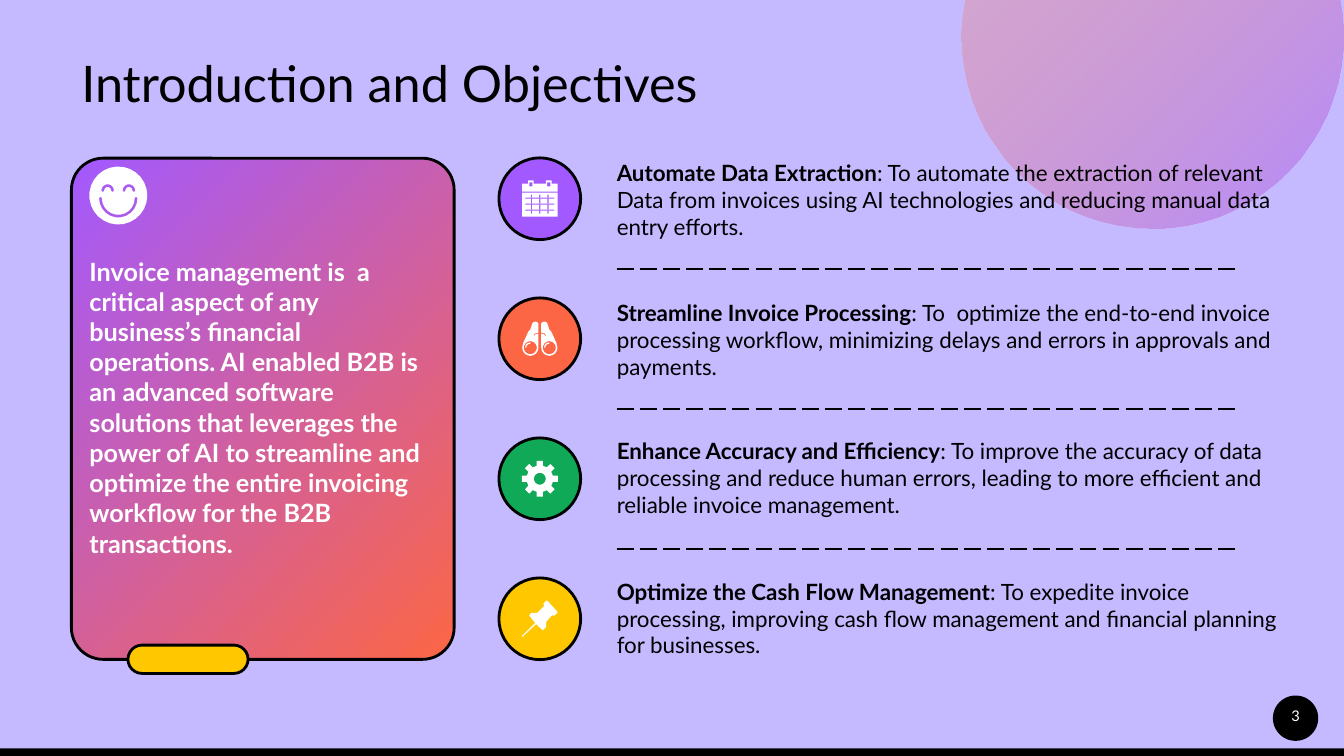
import math

import pptx
import pptx.dml.color
import pptx.enum.dml
import pptx.enum.shapes
import pptx.enum.text
import pptx.oxml
import pptx.oxml.ns
import pptx.util

Pt = pptx.util.Pt
RGB = pptx.dml.color.RGBColor.from_string
PRESET = pptx.enum.shapes.MSO_SHAPE
ALIGN = pptx.enum.text.PP_ALIGN
ANCHOR = pptx.enum.text.MSO_ANCHOR
FIT = pptx.enum.text.MSO_AUTO_SIZE

THEME = {
    "font": "Lato",
    "background": RGB("C5BAFF"),
    "ink": RGB("000000"),
    "white": RGB("FFFFFF"),
    "purple": RGB("A259FF"),
    "orange": RGB("FC6645"),
    "green": RGB("10A957"),
    "yellow": RGB("FFC700"),
    "title": 36,
    "statement": 18,
    "objective": 16,
    "page": 10.5,
}

deck = pptx.Presentation()
deck.slide_width, deck.slide_height = Pt(960), Pt(540)
slide = deck.slides.add_slide(deck.slide_layouts[6])
slide.background.fill.solid()
slide.background.fill.fore_color.rgb = THEME["background"]


def arc(x, y, radius, start=0, end=360):
    """Points on an arc, clockwise from the right, as few as look round."""
    widest = 2 * math.degrees(math.acos(1 - 0.14 / radius))
    steps = math.ceil(abs(end - start) / widest)
    angles = [math.radians(start + (end - start) * i / steps) for i in range(steps + 1)]
    return [(x + radius * math.cos(a), y + radius * math.sin(a)) for a in angles]


def draw_outline(center_x, center_y, contours):
    """White outline; contours are in points from the center, inner ones are holes."""
    scaled = [[(x * 100, y * 100) for x, y in contour] for contour in contours]
    builder = slide.shapes.build_freeform(*scaled[0][0], scale=Pt(1) / 100)
    for number, contour in enumerate(scaled):
        if number:
            builder.move_to(*contour[0])
        builder.add_line_segments(contour[1:], close=True)
    outline = builder.convert_to_shape(Pt(center_x), Pt(center_y))
    outline.shadow.inherit = False
    outline.fill.solid()
    outline.fill.fore_color.rgb = THEME["white"]
    outline.line.fill.background()
    return outline


# Corner disc, cut off by the top of the slide
disc_y, disc_radius = 26.6, 136.6
cut = math.degrees(math.asin(disc_y / disc_radius))
corner_disc = draw_outline(823.4, disc_y, [arc(0, 0, disc_radius, -cut, 180 + cut)])

# Footer, card, pill and objective badges
CENTER_X, FIRST_Y, STEP = 385.6, 142, 100
badge_colors = ["purple", "orange", "green", "yellow"]
presets = [
    (PRESET.RECTANGLE, 0, 534.6, 960, 5.4, "ink", 0, None),
    (PRESET.OVAL, 909.2, 496.8, 32.4, 32.4, "ink", 0, None),
    (PRESET.ROUNDED_RECTANGLE, 51, 113, 273.4, 358, "orange", 2, 0.083),
    (PRESET.ROUNDED_RECTANGLE, 91.4, 460.8, 85.8, 20.2, "yellow", 2, 0.5),
] + [
    (PRESET.OVAL, CENTER_X - 29.2, FIRST_Y - 29.2 + STEP * row, 58.4, 58.4, color, 2, None)
    for row, color in enumerate(badge_colors)
]
drawn = []
for kind, x, y, w, h, color, border, rounding in presets:
    part = slide.shapes.add_shape(kind, Pt(x), Pt(y), Pt(w), Pt(h))
    part.shadow.inherit = False
    part.fill.solid()
    part.fill.fore_color.rgb = THEME[color]
    if border:
        part.line.color.rgb = THEME["ink"]
        part.line.width = Pt(border)
    else:
        part.line.fill.background()
    if rounding:
        part.adjustments[0] = rounding
    drawn.append(part)
card = drawn[2]

# Orange to purple gradients; the corner disc is see-through
for part, angle, opacities in ((corner_disc, 315, (25, 50)), (card, 135, (100, 100))):
    part.fill.gradient()
    part.fill.gradient_angle = angle
    stops = part.fill.gradient_stops
    for stop, color, position in zip(stops, ("orange", "purple"), (0, 1)):
        stop.color.rgb = THEME[color]
        stop.position = position
    gradient = part.element.spPr.find(pptx.oxml.ns.qn("a:gradFill"))
    for tint, opacity in zip(gradient.iter(pptx.oxml.ns.qn("a:srgbClr")), opacities):
        if opacity < 100:
            alpha = pptx.oxml.parse_xml(f'<a:alpha {pptx.oxml.ns.nsdecls("a")} val="{opacity * 1000}"/>')
            tint.append(alpha)

# Smiley: two eyes and a mouth, each a half ring with round ends
face = [arc(0, 0, 20.7)]
for x, y, outer, inner, start in ((-7.6, -3.6, 4.5, 2.5, 180), (7.6, -3.6, 4.5, 2.5, 180), (0, 2, 13.7, 11.7, 0)):
    end, cap = start + 180, (outer - inner) / 2
    reach = (outer + inner) / 2 * (1 if start else -1)
    face.append(arc(x, y, outer, start, end) + arc(x + reach, y, cap, end, end + 180)
                + arc(x, y, inner, end, start) + arc(x - reach, y, cap, end, end + 180))
draw_outline(84.5, 139.7, face)

# Calendar: page with a grid cut out, and a header with two rings
boxes = [(-12.7, -4.4, 12.7, 12.8)]
grid_rows = [-0.5, 3.8, 8.1]
boxes += [(-10.4, y - 0.4, 10.4, y + 0.4) for y in grid_rows]
tops = [-3] + [y + 0.4 for y in grid_rows]
bottoms = [y - 0.4 for y in grid_rows] + [10.6]
boxes += [(x - 0.45, top, x + 0.45, bottom) for x in (-5.9, 0, 5.9) for top, bottom in zip(tops, bottoms)]
boxes += [(x - 1.1, -11.7, x + 1.1, -8.8) for x in (-6.4, 6.4)]
header = [(-12.7, -5.2), (-12.7, -10.9), (-8.4, -10.9), (-8.4, -13.1), (-4.4, -13.1), (-4.4, -10.9)]
header += [(-x, y) for x, y in reversed(header)]
cutouts = [[(l, t), (r, t), (r, b), (l, b)] for l, t, r, b in boxes]
draw_outline(CENTER_X, FIRST_Y, cutouts[:-2])
draw_outline(CENTER_X, FIRST_Y, [header] + cutouts[-2:])

# Binoculars: mirrored barrels, each with a lens and a glint
barrel = [(1, -4.4), (1, -11), (2, -11.9), (3.2, -12.3), (4.6, -11.9), (5.4, -10.9), (6.8, -6.6),
          (8.2, -5.1), (11.8, 2.8)]
barrel += arc(6.8, 6.4, 5.8, 0, 180)
barrel += [(1, -3.7), (3, -3.2), (3.9, -2.2), (4.6, -2.2), (3.8, -3.6)]
for side in (-1, 1):
    lens_x, lens_y = 6.8 * side, 6.4
    draw_outline(CENTER_X, FIRST_Y + STEP, [[(x * side, y) for x, y in barrel], arc(lens_x, lens_y, 4.7)])
    draw_outline(CENTER_X, FIRST_Y + STEP,
                 [arc(lens_x, lens_y, 3.8, 180, 270) + arc(lens_x, lens_y, 2.9, 270, 180)])

# Gear with eight teeth
teeth = []
for turn in range(8):
    cos, sin = math.cos(turn * math.pi / 4), math.sin(turn * math.pi / 4)
    for x, y in ((-2.2, -9.3), (-2.2, -12.8), (2.2, -12.8), (2.2, -9.3)):
        teeth.append((x * cos - y * sin, x * sin + y * cos))
draw_outline(CENTER_X, FIRST_Y + 2 * STEP, [teeth, arc(0, 0, 4.3)])

# Push pin
pin = [(-12.6, 13), (-2.6, 3.8), (1.8, 8), (2.5, 8), (4.6, 5.8), (4.6, 2.2), (9, -2.8), (10, -2),
       (12.6, -4.2), (12.6, -5), (5.4, -12.9), (4.6, -12.9), (2.5, -10.7), (3.2, -9.3), (-1.8, -4.2),
       (-6.2, -4.2), (-7.6, -2.3), (-3.3, 3), (-12.8, 12.3)]
draw_outline(CENTER_X, FIRST_Y + 3 * STEP, [pin])

# Dashed dividers between objectives
for row in range(3):
    y = Pt(192 + STEP * row)
    divider = slide.shapes.add_connector(pptx.enum.shapes.MSO_CONNECTOR.STRAIGHT, Pt(440.6), y, Pt(884.9), y)
    divider.line.color.rgb = THEME["ink"]
    divider.line.width = Pt(1.5)
    divider.line.dash_style = pptx.enum.dml.MSO_LINE.LONG_DASH
    divider.element.spPr.append(pptx.oxml.parse_xml(f'<a:effectLst {pptx.oxml.ns.nsdecls("a")}/>'))

# Texts: place, style, color, left inset, paragraphs of (text, bold) runs
statement = ("Invoice management is  a critical aspect of any business’s financial operations. AI enabled B2B "
             "is an advanced software solutions that leverages the power of AI to streamline and optimize the "
             "entire invoicing workflow for the B2B transactions.")
objectives = [
    (110.2, "Automate Data Extraction", [": To automate the extraction of relevant",
     "Data from invoices using AI technologies and reducing manual data entry efforts."]),
    (210.2, "Streamline Invoice Processing", [": To  optimize the end-to-end invoice processing workflow, "
     "minimizing delays and errors in approvals and payments."]),
    (308.9, "Enhance Accuracy and Efficiency", [": To improve the accuracy of data processing and reduce human "
     "errors, leading to more efficient and reliable invoice management."]),
    (409.2, "Optimize the Cash Flow Management", [": To expedite invoice processing, improving cash flow "
     "management and financial planning for businesses."]),
]
texts = [
    ((51, 28.8, 858.2, 65.5), "title", "ink", 7.2, [[("Introduction and Objectives", False)]]),
    ((909.2, 496.8, 32.4, 28.8), "page", "white", 7.2, [[("3", False)]]),
    ((63.9, 179.2, 246.2, 225.4), "statement", "white", 0, [[(statement, True)]]),
]
for top, name, (first, *rest) in objectives:
    lines = [[(name, True), (first, False)]] + [[(line, False)] for line in rest]
    texts.append(((440.6, top, 480.2, 65.5), "objective", "ink", 0, lines))

for place, style, color, inset, lines in texts:
    frame = slide.shapes.add_textbox(*map(Pt, place)).text_frame
    frame.word_wrap = True
    frame.margin_left = Pt(inset)
    if style in ("title", "page"):
        frame.vertical_anchor = ANCHOR.MIDDLE
    else:
        frame.auto_size = FIT.SHAPE_TO_FIT_TEXT
    for number, line in enumerate(lines):
        paragraph = frame.add_paragraph() if number else frame.paragraphs[0]
        if style == "title":
            paragraph.line_spacing = 0.9
        paragraph.alignment = ALIGN.CENTER if style == "page" else ALIGN.LEFT
        for words, bold in line:
            run = paragraph.add_run()
            run.text = words
            run.font.name, run.font.size, run.font.bold = THEME["font"], Pt(THEME[style]), bold
            run.font.color.rgb = THEME[color]

deck.save("out.pptx")
